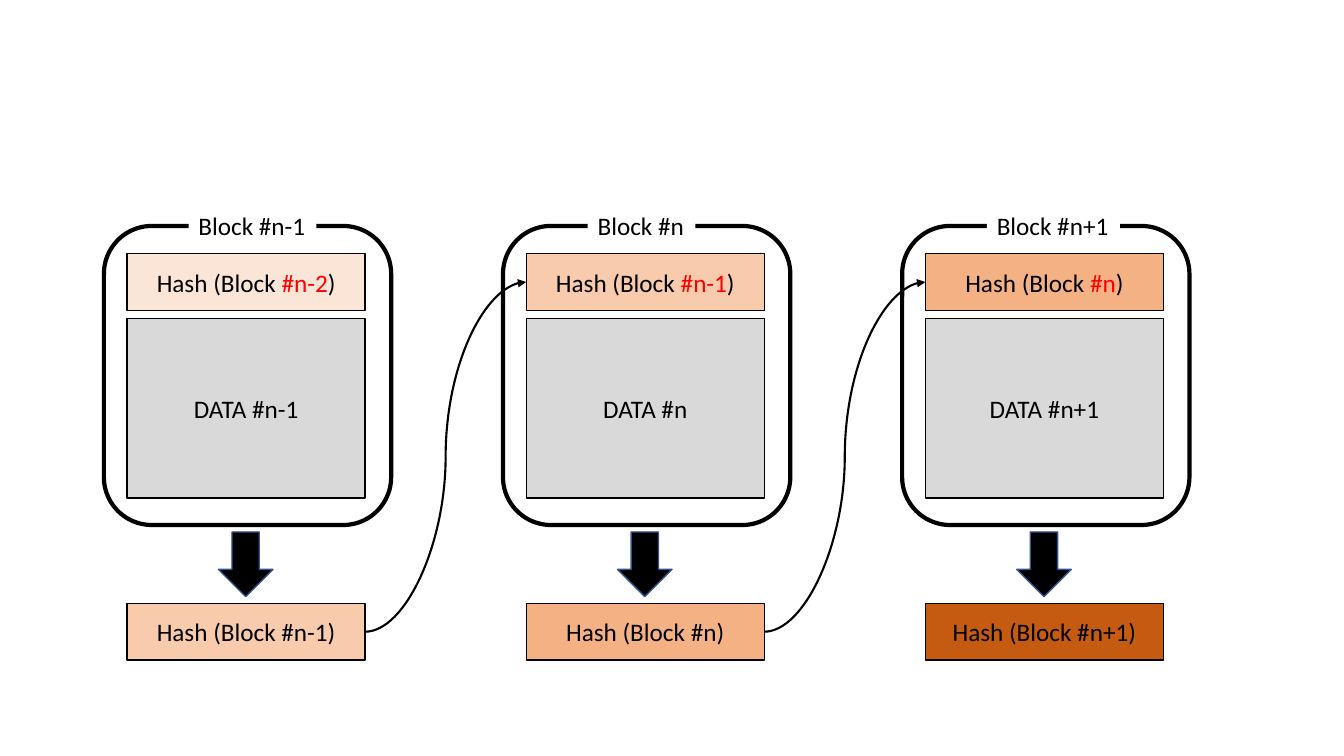
from lxml import etree
from pptx import Presentation
from pptx.dml.color import RGBColor
from pptx.enum.shapes import MSO_CONNECTOR, MSO_SHAPE
from pptx.enum.text import MSO_ANCHOR, MSO_AUTO_SIZE, PP_ALIGN
from pptx.oxml.ns import qn
from pptx.util import Pt

RECT, ROUND, DOWN = MSO_SHAPE.RECTANGLE, MSO_SHAPE.ROUNDED_RECTANGLE, MSO_SHAPE.DOWN_ARROW
CURVE = MSO_CONNECTOR.CURVE
CENTER, LEFT = PP_ALIGN.CENTER, PP_ALIGN.LEFT
MIDDLE, TOP = MSO_ANCHOR.MIDDLE, MSO_ANCHOR.TOP
FIT_SHAPE = MSO_AUTO_SIZE.SHAPE_TO_FIT_TEXT

BLACK = RGBColor(0x00, 0x00, 0x00)
WHITE = RGBColor(0xFF, 0xFF, 0xFF)
RED = RGBColor(0xFF, 0x00, 0x00)
GREY = RGBColor(0xD9, 0xD9, 0xD9)
BLUE = RGBColor(0x32, 0x54, 0x91)
# Each block's outgoing hash has the colour of the next block's incoming hash
HASH_COLORS = [RGBColor(0xFB, 0xE5, 0xD6), RGBColor(0xF8, 0xCB, 0xAD),
               RGBColor(0xF4, 0xB1, 0x83), RGBColor(0xC5, 0x5A, 0x11)]
NAMES = ["#n-2", "#n-1", "#n", "#n+1"]
LABEL_WIDTHS = [91.4, 77, 95]
BLOCK_LEFT, BLOCK_PITCH = 74.2, 285.1
BOX_INSET, BOX_WIDTH, HASH_HEIGHT = 16.6, 170, 40.6


def add_shape(kind, left, top, width, height, fill=None, line=BLACK, weight=1):
    sp = s.shapes.add_shape(kind, Pt(left), Pt(top), Pt(width), Pt(height))
    sp.shadow.inherit = False
    if fill is None:
        sp.fill.background()
    else:
        sp.fill.solid()
        sp.fill.fore_color.rgb = fill
    if line is None:
        sp.line.fill.background()
    else:
        sp.line.color.rgb = line
        sp.line.width = Pt(weight)
    return sp


def add_text(sp, *runs, align=CENTER, anchor=MIDDLE):
    tf = sp.text_frame
    tf.vertical_anchor = anchor
    p = tf.paragraphs[0]
    p.alignment = align
    p.font.name, p.font.size = "Calibri", Pt(18)
    for text, color in runs:
        r = p.add_run()
        r.text = text
        r.font.color.rgb = color


prs = Presentation()
prs.slide_width, prs.slide_height = Pt(960), Pt(540)
s = prs.slides.add_slide(prs.slide_layouts[6])

# Blocks, each with its hash below
hashes_in, hashes_out = [], []
for i, label_width in enumerate(LABEL_WIDTHS):
    previous, name = NAMES[i], NAMES[i + 1]
    left = BLOCK_LEFT + i * BLOCK_PITCH
    box_left = left + BOX_INSET

    add_shape(ROUND, left, 161.4, 205.2, 213.6, weight=3)

    sp = add_shape(RECT, box_left, 181.2, BOX_WIDTH, HASH_HEIGHT, HASH_COLORS[i])
    add_text(sp, ("Hash (Block ", BLACK), (previous, RED), (")", BLACK))
    hashes_in.append(sp)

    sp = add_shape(RECT, box_left, 227.5, BOX_WIDTH, 128.2, GREY)
    add_text(sp, (f"DATA {name}", BLACK))

    sp = add_shape(RECT, left + 60.5, 146.4, label_width, 29.1, WHITE, line=None)
    add_text(sp, (f"Block {name}", BLACK), align=LEFT, anchor=TOP)
    sp.text_frame.word_wrap = False
    sp.text_frame.auto_size = FIT_SHAPE

    add_shape(DOWN, left + 81.8, 380, 39, 46.2, BLACK, BLUE)

    sp = add_shape(RECT, box_left, 431, BOX_WIDTH, HASH_HEIGHT, HASH_COLORS[i + 1])
    add_text(sp, (f"Hash (Block {name})", BLACK))
    hashes_out.append(sp)

# Curved arrows from each hash into the next block
for source, target in zip(hashes_out, hashes_in[1:]):
    c = s.shapes.add_connector(CURVE, 0, 0, 0, 0)
    c.begin_connect(source, 3)
    c.end_connect(target, 1)
    c.line.color.rgb = BLACK
    c.line.width = Pt(1.5)
    ln = c.line._get_or_add_ln()
    etree.SubElement(ln, qn("a:tailEnd"), type="triangle")
    etree.SubElement(c._element.spPr, qn("a:effectLst"))

prs.save("out.pptx")
